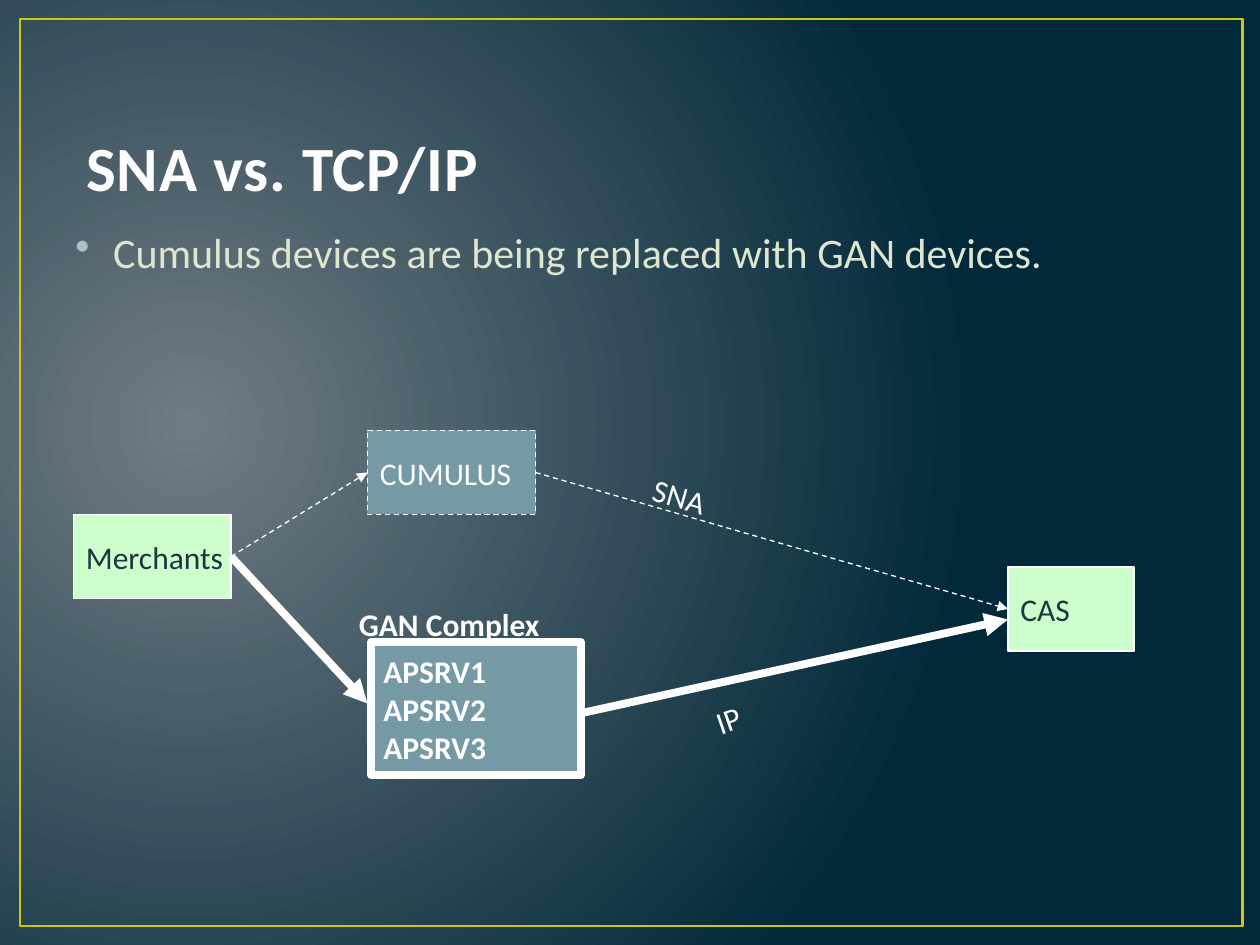
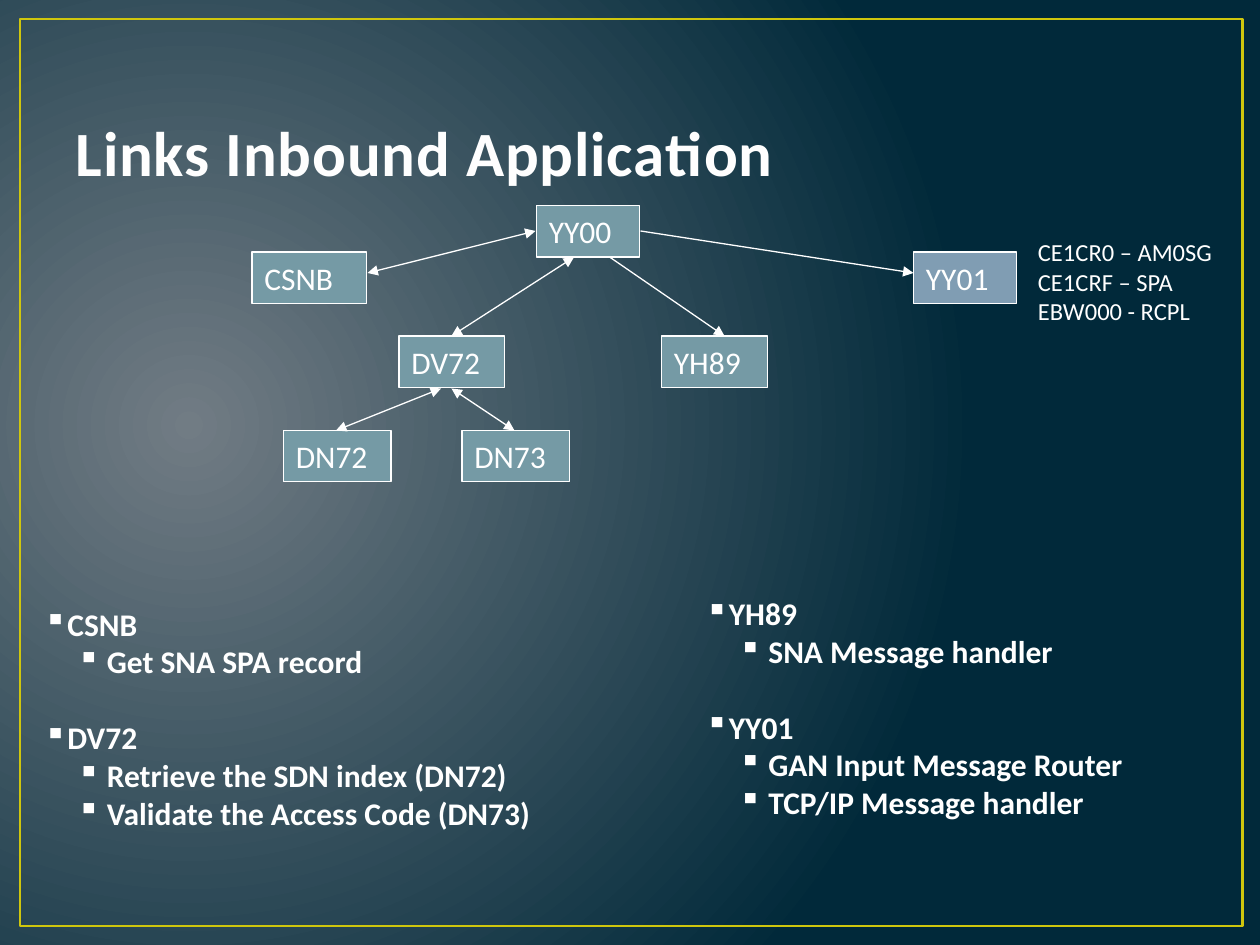
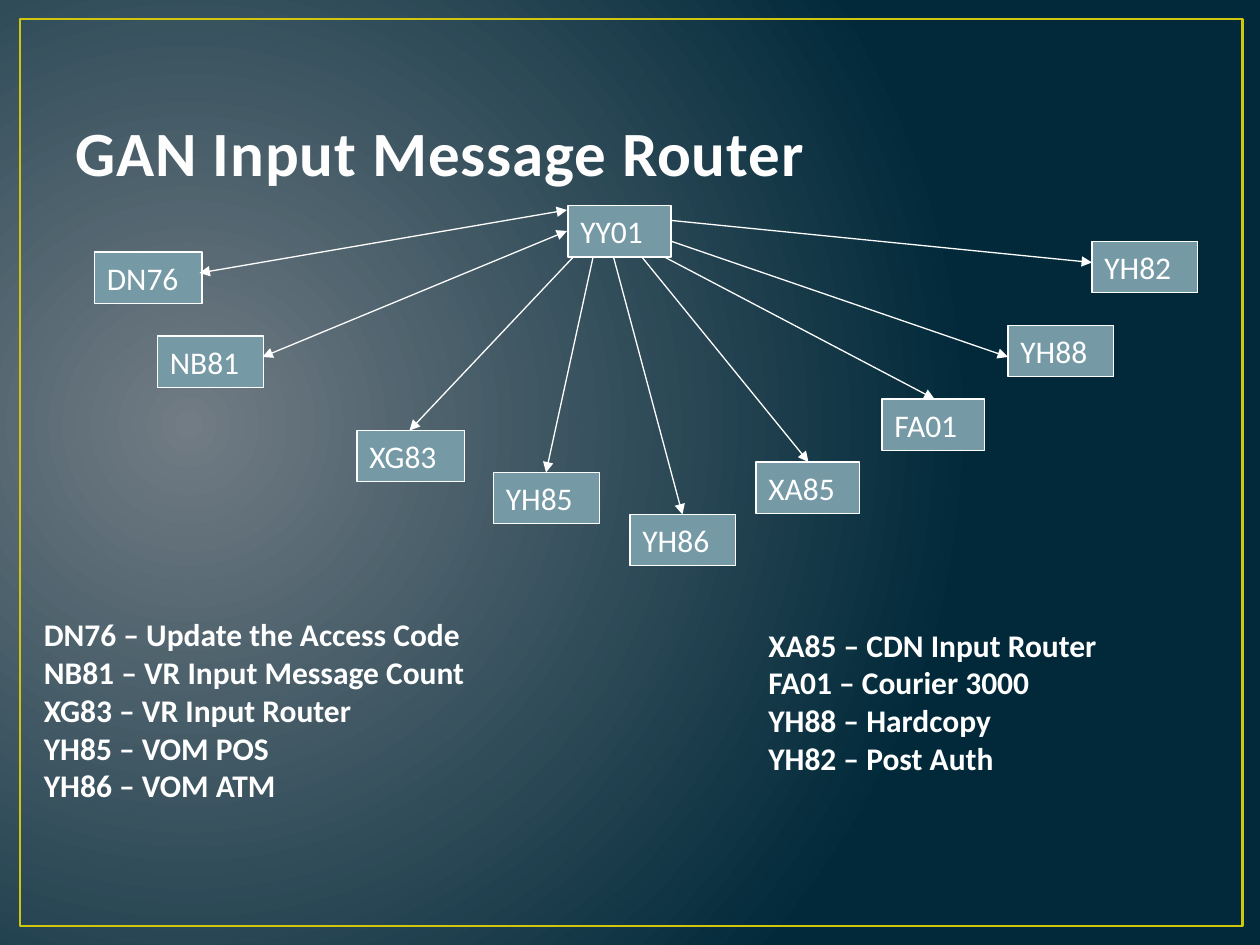
"""Build three slides on message routing with python-pptx."""
from dataclasses import dataclass

from lxml import etree
from pptx import Presentation
from pptx import util as u
from pptx.dml.color import RGBColor
from pptx.enum import dml, shapes, text
from pptx.oxml.ns import qn

WHITE = RGBColor(0xFF, 0xFF, 0xFF)
TITLE_WHITE = RGBColor(0xFE, 0xFE, 0xFE)
TITLE_EDGE = RGBColor(0x38, 0x4F, 0x55)
GLOW = RGBColor(0x71, 0x7C, 0x84)
NAVY = RGBColor(0x01, 0x29, 0x3A)
GOLD = RGBColor(0xCF, 0xC6, 0x0D)
TEAL = RGBColor(0x75, 0x9A, 0xA5)
STEEL = RGBColor(0x80, 0x9D, 0xB3)
MINT = RGBColor(0xCC, 0xFF, 0xCC)
INK = RGBColor(0x1D, 0x36, 0x41)
CREAM = RGBColor(0xDF, 0xE6, 0xD0)
BULLET_GREY = RGBColor(0xAC, 0xC2, 0xC9)
FONT = "Calibri"
TITLE_BOX = (36, 21.6, 648, 90)


@dataclass
class Node:
    label: str
    left: float
    top: float
    width: float
    height: float = 29.3
    fill: RGBColor = TEAL
    color: RGBColor = WHITE
    border: float = 0.75
    dashed: bool = False
    bold: bool = False


@dataclass
class Arrow:
    start: tuple[float, float]
    end: tuple[float, float]
    both: bool = False
    width: float = 0.75
    dashed: bool = False


@dataclass
class Label:
    text: str
    left: float
    top: float
    width: float
    height: float
    size: float = 18
    bold: bool = False
    rotation: float = 0


@dataclass
class Outline:
    groups: dict[str, list[str]]
    left: float
    top: float
    width: float
    height: float


def points(*values: float) -> list[u.Pt]:
    """Turn plain numbers into lengths in points."""
    return [u.Pt(value) for value in values]


def format_text(shape, size: float, color: RGBColor, bold: bool = False) -> None:
    """Set font and left alignment on all text of a shape."""
    for paragraph in shape.text_frame.paragraphs:
        paragraph.alignment = text.PP_ALIGN.LEFT
        for run in paragraph.runs:
            run.font.name = FONT
            run.font.size = u.Pt(size)
            run.font.bold = bold
            run.font.color.rgb = color


def set_bullet(paragraph, character: str, margin: float, indent: float, color: RGBColor | None = None) -> None:
    """Give a paragraph a bullet and its indents."""
    properties = paragraph._p.get_or_add_pPr()
    properties.set("marL", str(u.Pt(margin)))
    properties.set("indent", str(u.Pt(indent)))
    if color is not None:
        bullet_color = etree.SubElement(properties, qn("a:buClr"))
        etree.SubElement(bullet_color, qn("a:srgbClr"), val=str(color))
    etree.SubElement(properties, qn("a:buChar"), char=character)


def set_background(master) -> None:
    """Paint the radial gradient on the slide master."""
    fill = master.background.fill
    fill.gradient()
    for stop, color in zip(fill.gradient_stops, (GLOW, NAVY)):
        stop.color.rgb = color
    gradient = next(master.element.iter(qn("a:gradFill")))
    gradient.remove(gradient.find(qn("a:lin")))
    radial = etree.SubElement(gradient, qn("a:path"))
    radial.set("path", "circle")
    etree.SubElement(radial, qn("a:fillToRect"), l="15000", t="50000", r="85000", b="60000")


def add_slide(presentation, heading: str, box: tuple[float, ...] = TITLE_BOX):
    """Add a slide with the gold frame and a styled title."""
    slide = presentation.slides.add_slide(presentation.slide_layouts[5])
    title = slide.shapes.title
    title.left, title.top, title.width, title.height = points(*box)
    title.text_frame.text = heading
    title.text_frame.vertical_anchor = text.MSO_ANCHOR.BOTTOM
    title.text_frame.auto_size = text.MSO_AUTO_SIZE.NONE
    format_text(title, 36, TITLE_WHITE, True)
    for properties in title.element.iter(qn("a:rPr")):
        properties.set("spc", "50")
        edge = etree.Element(qn("a:ln"), w=str(u.Pt(1.05)))
        edge_fill = etree.SubElement(edge, qn("a:solidFill"))
        etree.SubElement(edge_fill, qn("a:srgbClr"), val=str(TITLE_EDGE))
        properties.insert(0, edge)
    frame = slide.shapes.add_shape(shapes.MSO_SHAPE.RECTANGLE, *points(11.5, 10.8, 698.4, 518.4))
    frame.shadow.inherit = False
    frame.fill.background()
    frame.line.color.rgb = GOLD
    frame.line.width = u.Pt(1.5)
    return slide


def add_node(slide, node: Node) -> None:
    """Draw a labelled process box."""
    shape = slide.shapes.add_shape(
        shapes.MSO_SHAPE.FLOWCHART_PROCESS, *points(node.left, node.top, node.width, node.height))
    shape.shadow.inherit = False
    shape.fill.solid()
    shape.fill.fore_color.rgb = node.fill
    shape.line.color.rgb = WHITE
    shape.line.width = u.Pt(node.border)
    if node.dashed:
        shape.line.dash_style = dml.MSO_LINE.DASH
    shape.text_frame.text = node.label
    shape.text_frame.word_wrap = False
    shape.text_frame.vertical_anchor = text.MSO_ANCHOR.MIDDLE
    format_text(shape, 18, node.color, node.bold)


def add_arrow(slide, arrow: Arrow) -> None:
    """Draw a white arrow with one or two heads."""
    connector = slide.shapes.add_connector(
        shapes.MSO_CONNECTOR.STRAIGHT, *points(*arrow.start, *arrow.end))
    connector.line.color.rgb = WHITE
    connector.line.width = u.Pt(arrow.width)
    if arrow.dashed:
        connector.line.dash_style = dml.MSO_LINE.DASH
    properties = connector.element.spPr
    line = properties.find(qn("a:ln"))
    if arrow.both:
        etree.SubElement(line, qn("a:headEnd"), type="triangle")
    etree.SubElement(line, qn("a:tailEnd"), type="triangle")
    etree.SubElement(properties, qn("a:effectLst"))


def add_label(slide, label: Label) -> None:
    """Draw free text."""
    shape = slide.shapes.add_textbox(*points(label.left, label.top, label.width, label.height))
    shape.rotation = label.rotation
    shape.text_frame.text = label.text
    shape.text_frame.word_wrap = False
    format_text(shape, label.size, WHITE, label.bold)


def add_outline(slide, outline: Outline) -> None:
    """Draw a two-level bulleted list."""
    shape = slide.shapes.add_textbox(*points(outline.left, outline.top, outline.width, outline.height))
    rows = [(line, level) for heading, details in outline.groups.items()
            for line, level in [(heading, 0), *((detail, 1) for detail in details)]]
    shape.text_frame.text = "\n".join(line for line, _ in rows)
    shape.text_frame.word_wrap = True
    format_text(shape, 18, WHITE, True)
    for index, (paragraph, (_, level)) in enumerate(zip(shape.text_frame.paragraphs, rows)):
        paragraph.level = level
        if index and level == 0:
            paragraph.space_before = u.Pt(21.6)
        set_bullet(paragraph, "▪", 36 * level, -17 * level)


def add_statement(slide, statement: str) -> None:
    """Draw the bulleted sentence below the title."""
    shape = slide.shapes.add_textbox(*points(36, 126, 648, 356.4))
    shape.text_frame.text = statement
    shape.text_frame.word_wrap = True
    format_text(shape, 24, CREAM)
    paragraph = shape.text_frame.paragraphs[0]
    paragraph.space_before = u.Pt(4.8)
    set_bullet(paragraph, "•", 21.6, -21.6, BULLET_GREY)


DRAWERS = {Node: add_node, Arrow: add_arrow, Label: add_label, Outline: add_outline}


def draw(slide, items: list) -> None:
    """Draw every item with the function for its kind."""
    for item in items:
        DRAWERS[type(item)](slide, item)


def build_protocols(presentation) -> None:
    """Build the slide that compares the two protocols."""
    slide = add_slide(presentation, "SNA vs. TCP/IP", (42, 48, 594, 72))
    add_statement(slide, "Cumulus devices are being replaced with GAN devices.")
    draw(slide, [
        Node("CUMULUS", 210, 246, 96, 48, dashed=True),
        Node("CAS", 576, 324, 72, 48, MINT, INK),
        Arrow((306, 270), (576, 348), dashed=True),
        Label("SNA", 366, 270, 52, 29, rotation=15.9),
        Label("IP", 402, 396, 32, 29, rotation=340.8),
        Node("Merchants", 42, 294, 90, 48, MINT, INK),
        Arrow((132, 318), (210, 270), dashed=True),
        Arrow((132, 318), (210, 402), width=4.5),
        Arrow((330, 408), (576, 354), width=4.5),
        Label("GAN Complex", 198, 342, 135, 29, bold=True),
        Node("APSRV1\nAPSRV2\nAPSRV3", 212, 367, 120, 76, border=4.5, bold=True),
    ])


def build_links(presentation) -> None:
    """Build the slide on the inbound application."""
    slide = add_slide(presentation, "Links Inbound Application")
    draw(slide, [
        Node("YY00", 306.5, 117.5, 59),
        Node("CSNB", 144, 144, 65.5),
        Node("DV72", 228, 192, 60.5),
        Node("DN73", 264, 246, 61.5),
        Node("YH89", 378, 192, 60.5),
        Node("YY01", 522, 144, 59, fill=STEEL),
        Node("DN72", 162, 246, 61.5),
        Arrow((306, 132), (210, 156), both=True),
        Arrow((328, 147), (258, 192), both=True),
        Arrow((258, 222), (294, 246), both=True),
        Arrow((252, 222), (192, 246), both=True),
        Arrow((366, 132), (522, 156)),
        Arrow((348.5, 147), (414, 192)),
        Outline({"CSNB": ["Get SNA SPA record"],
                 "DV72": ["Retrieve the SDN index (DN72)", "Validate the Access Code (DN73)"]},
                18, 342, 341, 158),
        Outline({"YH89": ["SNA Message handler"],
                 "YY01": ["GAN Input Message Router", "TCP/IP Message handler"]},
                396, 336, 292, 137),
        Label("CE1CR0 – AM0SG\nCE1CRF – SPA\nEBW000 - RCPL", 586, 132, 134, 58, size=14),
    ])


def build_router(presentation) -> None:
    """Build the slide on the message router."""
    slide = add_slide(presentation, "GAN Input Message Router")
    draw(slide, [
        Node("YY01", 324.5, 117.5, 59),
        Node("DN76", 54, 144, 61.5),
        Node("NB81", 90, 192, 60.5),
        Node("XG83", 204, 246, 61.5),
        Node("YH85", 282, 270, 60.5),
        Node("YH86", 360, 294, 60.5),
        Node("XA85", 432, 264, 59),
        Node("FA01", 504, 228, 58.5),
        Node("YH88", 576, 186, 60.5),
        Node("YH82", 624, 138, 60.5),
        Arrow((324, 120), (114, 156), both=True),
        Arrow((324, 132), (150, 204), both=True),
        Arrow((327.5, 147), (234, 246)),
        Arrow((339, 146.5), (312, 270)),
        Arrow((350.5, 146.5), (390, 294)),
        Arrow((366.5, 146.5), (462, 264)),
        Arrow((379, 146.5), (534, 228)),
        Arrow((384, 138), (576, 204)),
        Arrow((384, 126), (624, 150)),
        Label("DN76 – Update the Access Code\nNB81 – VR Input Message Count\n"
              "XG83 – VR Input Router\nYH85 – VOM POS\nYH86 – VOM ATM",
              18, 348, 292, 137, bold=True),
        Label("XA85 – CDN Input Router\nFA01 – Courier 3000\nYH88 – Hardcopy\nYH82 – Post Auth",
              432, 354, 230, 115, bold=True),
    ])


def main() -> None:
    """Build and save the presentation."""
    presentation = Presentation()
    presentation.slide_width, presentation.slide_height = points(720, 540)
    set_background(presentation.slide_master)
    build_protocols(presentation)
    build_links(presentation)
    build_router(presentation)
    presentation.save("out.pptx")


main()
